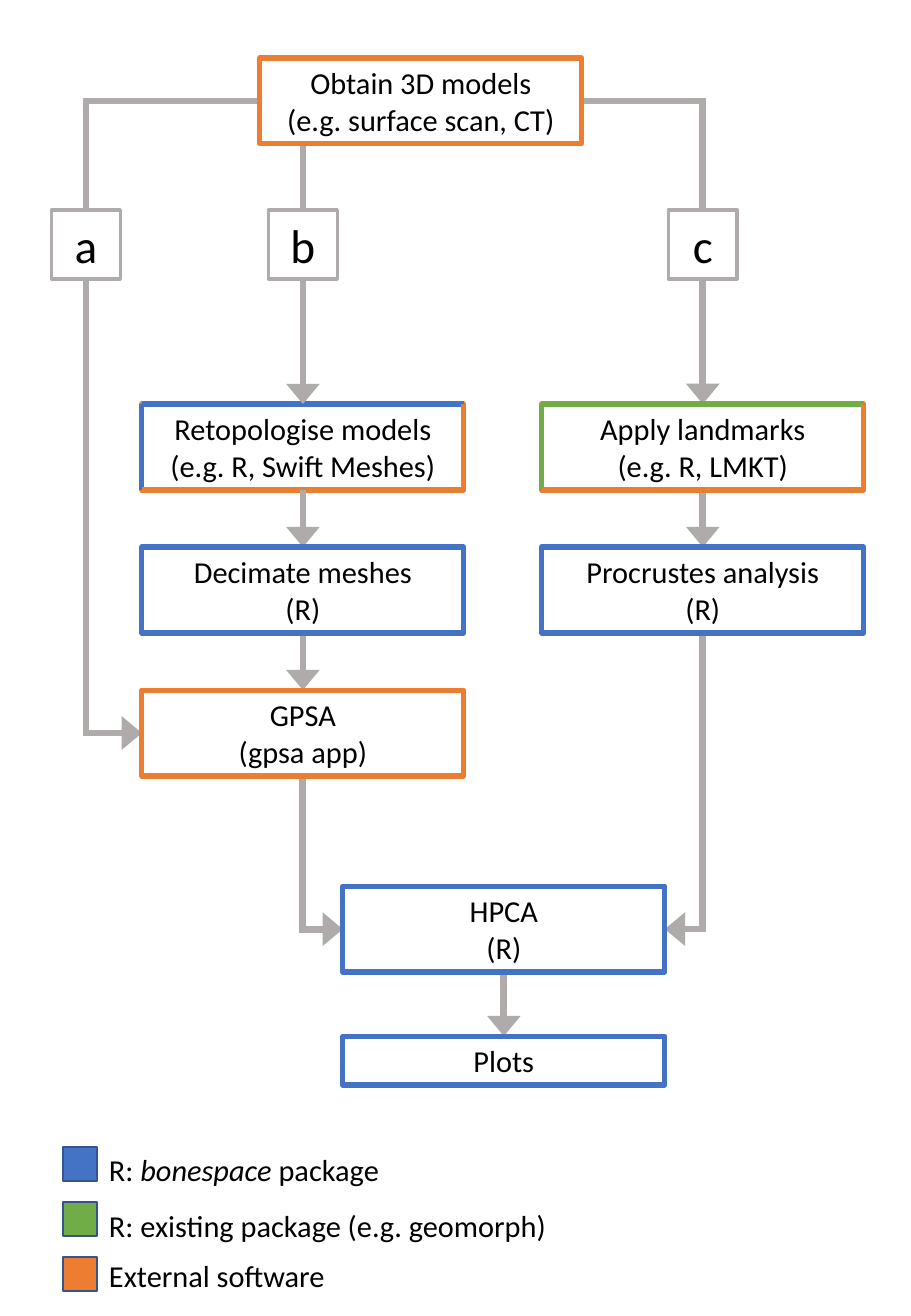
from lxml import etree
from pptx import Presentation
from pptx import util as u
from pptx.dml.color import RGBColor
from pptx.enum import shapes, text
from pptx.oxml.ns import qn

EMU_PER_PX = u.Inches(1) / 121.5
FONT = "Calibri"
BLUE, GREEN, ORANGE = "4472C4", "70AD47", "ED7D31"
MIXED, GREY, NAVY, WHITE, BLACK = "DF7C3D", "AFABAB", "325491", "FFFFFF", "000000"
STEP_W, STEP_H, PLOTS_H = 322, 86, 49
LABEL_SIDE, LABEL_TOP, SWATCH_SIDE = 69, 210, 34
A_X, B_X, C_X, TOP_X, HPCA_X = 86, 303, 703, 421, 504  # centre lines
TOP_Y, HPCA_Y, PLOTS_Y = 58, 886, 1036
ROWS = [404 + 143 * row for row in range(3)]


def px(length):
    """Turn pixels into EMU."""
    return u.Emu(round(length * EMU_PER_PX))


def colour(code):
    """Turn a hex string into a colour."""
    return RGBColor.from_string(code)


def write(frame, lines, size, align):
    """Fill a text frame with one paragraph per line."""
    frame.word_wrap = True
    frame.text = "\n".join(lines)
    for paragraph in frame.paragraphs:
        paragraph.alignment = align
        for run in paragraph.runs:
            style(run, size)


def style(run, size):
    """Give a run the font, size and colour of this chart."""
    run.font.name = FONT
    run.font.size = u.Pt(size)
    run.font.color.rgb = colour(BLACK)


def box(slide, left, top, width, height, outline, weight, fill=None):
    """Draw a rectangle, hollow unless a fill is given."""
    rect = slide.shapes.add_shape(
        shapes.MSO_SHAPE.RECTANGLE, px(left), px(top), px(width), px(height))
    rect.shadow.inherit = False
    if fill:
        rect.fill.solid()
        rect.fill.fore_color.rgb = colour(fill)
    else:
        rect.fill.background()
    rect.line.color.rgb = colour(outline)
    rect.line.width = u.Pt(weight)
    return rect


def step(slide, centre, top, lines, outline, height=STEP_H):
    """Draw one step of the workflow around its centre line."""
    rect = box(slide, centre - STEP_W / 2, top, STEP_W, height, outline, 3)
    rect.text_frame.vertical_anchor = text.MSO_ANCHOR.MIDDLE
    write(rect.text_frame, lines, 18, text.PP_ALIGN.CENTER)


def link(slide, start, end, hue, weight, kind=shapes.MSO_CONNECTOR.STRAIGHT):
    """Draw a plain connector between two points."""
    line = slide.shapes.add_connector(kind, *map(px, start + end))
    line.line.color.rgb = colour(hue)
    line.line.width = u.Pt(weight)
    etree.SubElement(line._element.spPr, qn("a:effectLst"))
    return line


def arrow(slide, start, end, kind=shapes.MSO_CONNECTOR.STRAIGHT):
    """Draw a grey connector with sharp corners and a wide arrowhead."""
    line = link(slide, start, end, GREY, 4, kind)
    stroke = line._element.spPr.find(qn("a:ln"))
    etree.SubElement(stroke, qn("a:miter"), lim="800000")
    etree.SubElement(stroke, qn("a:tailEnd"), type="triangle", w="lg", len="med")
    return line


def corner_arrow(slide, start, end, down_first=False):
    """Draw an arrow with one right-angled turn."""
    if down_first:
        # a quarter turn about the middle makes the first leg vertical
        (x1, y1), (x2, y2) = start, end
        mid_x, mid_y = (x1 + x2) / 2, (y1 + y2) / 2
        half_x, half_y = (x2 - x1) / 2, (y2 - y1) / 2
        start = (mid_x - half_y, mid_y + half_x)
        end = (mid_x + half_y, mid_y - half_x)
    line = arrow(slide, start, end, shapes.MSO_CONNECTOR.ELBOW)
    properties = line._element.spPr
    properties.find(qn("a:prstGeom")).set("prst", "bentConnector2")
    if down_first:
        properties.find(qn("a:xfrm")).set("rot", "5400000")


def side_arrow(slide, start, end, lane_x):
    """Draw an arrow that runs out to a vertical lane and back in."""
    line = arrow(slide, start, end, shapes.MSO_CONNECTOR.ELBOW)
    reach = round(100000 * (lane_x - start[0]) / (end[0] - start[0]))
    geometry = line._element.spPr.find(qn("a:prstGeom"))
    guides = geometry.find(qn("a:avLst"))
    if guides is None:
        guides = etree.SubElement(geometry, qn("a:avLst"))
    etree.SubElement(guides, qn("a:gd"), name="adj1", fmla=f"val {reach}")


def two_tone_edges(slide, centre, top, hue):
    """Colour the left and top edges with hue, the others orange."""
    left, right = centre - STEP_W / 2, centre + STEP_W / 2
    bottom = top + STEP_H
    link(slide, (left, bottom), (left, top), hue, 3)
    link(slide, (right, top), (left, top), hue, 3)
    link(slide, (right, bottom), (left, bottom), ORANGE, 3)
    link(slide, (right, bottom), (right, top), ORANGE, 3)


def label(slide, centre, letter):
    """Draw the lettered square of one pathway."""
    square = box(slide, centre - LABEL_SIDE / 2, LABEL_TOP,
                 LABEL_SIDE, LABEL_SIDE, GREY, 2, WHITE)
    square.text_frame.vertical_anchor = text.MSO_ANCHOR.MIDDLE
    write(square.text_frame, [letter], 28, text.PP_ALIGN.CENTER)


def legend_entry(slide, swatch_top, text_top, hue, parts):
    """Draw a swatch and its caption; every second part is italic."""
    box(slide, 63, swatch_top, SWATCH_SIDE, SWATCH_SIDE, NAVY, 1, hue)
    caption = slide.shapes.add_textbox(px(97), px(text_top), px(498), px(49))
    caption.text_frame.word_wrap = True
    paragraph = caption.text_frame.paragraphs[0]
    for index, part in enumerate(parts):
        run = paragraph.add_run()
        run.text = part
        style(run, 18)
        run.font.italic = index % 2 == 1


def draw_arrows(slide):
    """Draw every arrow of the workflow."""
    top_mid, hpca_mid = TOP_Y + STEP_H / 2, HPCA_Y + STEP_H / 2
    half = STEP_W / 2
    arrow(slide, (B_X, TOP_Y + STEP_H), (B_X, ROWS[0]))
    corner_arrow(slide, (TOP_X + half, top_mid), (C_X, ROWS[0]))
    for centre, row in ((B_X, 0), (B_X, 1), (C_X, 0)):
        arrow(slide, (centre, ROWS[row] + STEP_H), (centre, ROWS[row + 1]))
    corner_arrow(slide, (C_X, ROWS[1] + STEP_H), (HPCA_X + half, hpca_mid), True)
    corner_arrow(slide, (B_X, ROWS[2] + STEP_H), (HPCA_X - half, hpca_mid), True)
    side_arrow(slide, (TOP_X - half, top_mid),
               (B_X - half, ROWS[2] + STEP_H / 2), A_X)
    arrow(slide, (HPCA_X, HPCA_Y + STEP_H), (HPCA_X, PLOTS_Y))


def main():
    """Build the workflow slide and save it."""
    deck = Presentation()
    deck.slide_width, deck.slide_height = u.Inches(7.5), u.Inches(10.83)
    slide = deck.slides.add_slide(deck.slide_layouts[6])

    step(slide, B_X, ROWS[0],
         ["Retopologise models", "(e.g. R, Swift Meshes)"], ORANGE)
    two_tone_edges(slide, B_X, ROWS[0], BLUE)
    draw_arrows(slide)

    step(slide, TOP_X, TOP_Y, ["Obtain 3D models", "(e.g. surface scan, CT)"], ORANGE)
    step(slide, C_X, ROWS[0], ["Apply landmarks", "(e.g. R, LMKT)"], MIXED)
    two_tone_edges(slide, C_X, ROWS[0], GREEN)
    step(slide, B_X, ROWS[2], ["GPSA", "(gpsa app)"], ORANGE)
    step(slide, B_X, ROWS[1], ["Decimate meshes", "(R)"], BLUE)
    step(slide, C_X, ROWS[1], ["Procrustes analysis", "(R)"], BLUE)
    step(slide, HPCA_X, HPCA_Y, ["HPCA", "(R)"], BLUE)
    step(slide, HPCA_X, PLOTS_Y, ["Plots"], BLUE, PLOTS_H)

    for centre, letter in ((A_X, "a"), (B_X, "b"), (C_X, "c")):
        label(slide, centre, letter)

    legend_entry(slide, 1147, 1145, BLUE, ["R: ", "bonespace", " package"])
    legend_entry(slide, 1202, 1201, GREEN, ["R: existing package (e.g. geomorph)"])
    legend_entry(slide, 1257, 1251, ORANGE, ["External software"])
    deck.save("out.pptx")


main()
